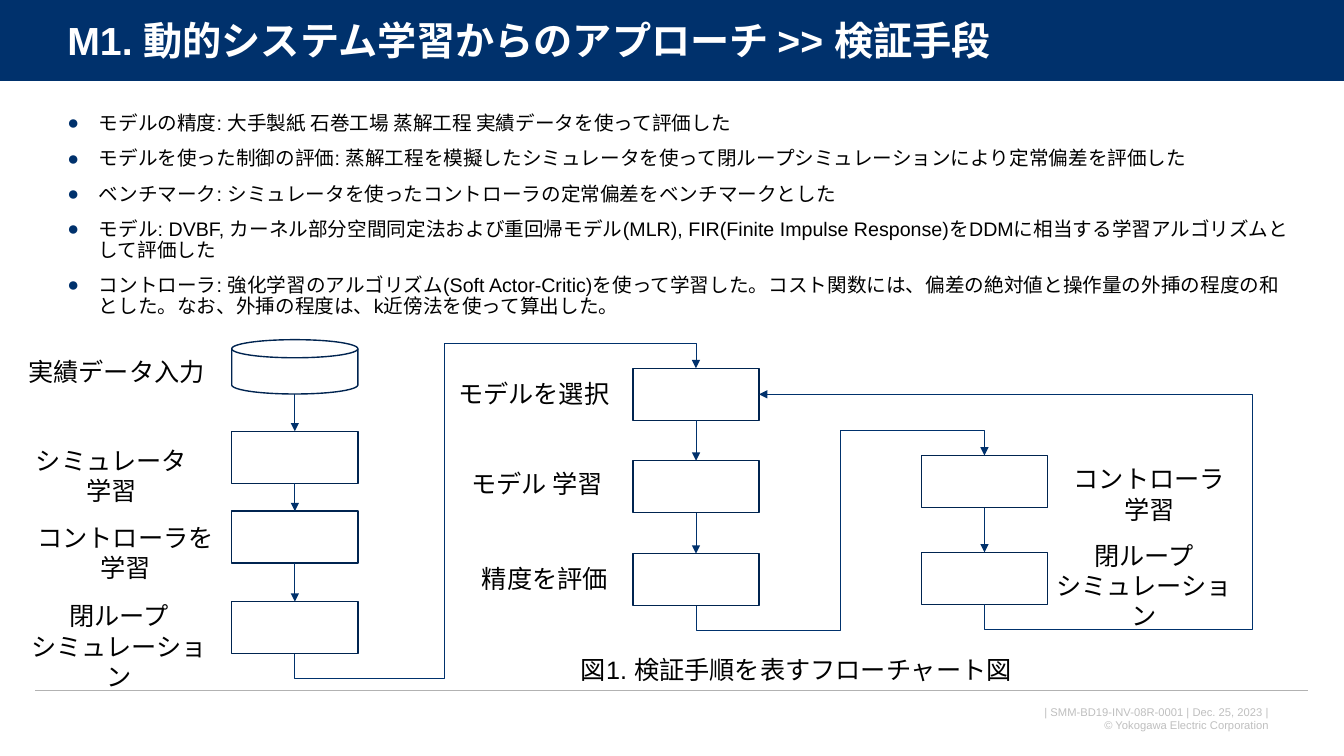
from lxml import etree
from pptx import Presentation
from pptx import util as u
from pptx.dml.color import RGBColor
from pptx.enum import shapes, text
from pptx.oxml import ns

NAVY, OUTLINE, WHITE, BLACK = "00316C", "002450", "FFFFFF", "000000"
RULE_GREY, FOOTER_GREY = "B2B2B2", "BFBFBF"

TITLE = "M1. 動的システム学習からのアプローチ >> 検証手段"
BULLETS = [
    "モデルの精度: 大手製紙 石巻工場 蒸解工程 実績データを使って評価した",
    "モデルを使った制御の評価: 蒸解工程を模擬したシミュレータを使って閉ループシミュレーションにより定常偏差を評価した",
    "ベンチマーク: シミュレータを使ったコントローラの定常偏差をベンチマークとした",
    "モデル: DVBF, カーネル部分空間同定法および重回帰モデル(MLR), FIR(Finite Impulse Response)を"
    "DDMに相当する学習アルゴリズムとして評価した",
    "コントローラ: 強化学習のアルゴリズム(Soft Actor-Critic)を使って学習した。コスト関数には、"
    "偏差の絶対値と操作量の外挿の程度の和とした。なお、外挿の程度は、k近傍法を使って算出した。",
]
FOOTER = ["| SMM-BD19-INV-08R-0001 | Dec. 25, 2023 |", "© Yokogawa Electric Corporation"]

BOX_WIDTH, BOX_HEIGHT, DISK_HEIGHT = 3.18, 1.31, 1.37
DISK = (5.84, 8.56)
COLUMNS = {
    "simulator": (5.84, [10.87, 12.88, 15.16]),
    "model": (15.95, [9.28, 11.61, 13.95]),
    "controller": (23.22, [11.48, 13.92]),
}
DETOUR = 0.63
LOOPS = [
    ("simulator", "model", 0, 11.2),
    ("model", "controller", 0, 21.18),
    ("controller", "model", 3, 31.55),
]
LABELS = [
    (0.41, 8.86, 5.05, ["実績データ入力"]),
    (0.28, 11.1, 5.05, ["シミュレータ 学習"]),
    (0.64, 13.03, 5.05, ["コントローラを学習"]),
    (0.48, 15.01, 5.05, ["閉ループ", "シミュレーション"]),
    (11.2, 9.42, 4.5, ["モデルを選択"]),
    (11.28, 11.68, 4.5, ["モデル 学習"]),
    (11.48, 14.07, 4.5, ["精度を評価"]),
    (26.44, 11.56, 5.05, ["コントローラ 学習"]),
    (26.31, 13.49, 5.05, ["閉ループ", "シミュレーション"]),
    (14.05, 16.36, 12.04, ["図1. 検証手順を表すフローチャート図"]),
]

presentation = Presentation()
presentation.slide_width, presentation.slide_height = u.Cm(33.87), u.Cm(19.05)
slide = presentation.slides.add_slide(presentation.slide_layouts[6])


def color(value):
    return RGBColor.from_string(value)


def add_element(parent, tag, **attributes):
    return etree.SubElement(parent, ns.qn(tag), attributes)


def add_text(left, top, width, height, lines, size, ink=BLACK, align=text.PP_ALIGN.LEFT):
    box = slide.shapes.add_textbox(*map(u.Cm, (left, top, width, height)))
    frame = box.text_frame
    frame.word_wrap = True
    frame.text = "\n".join(lines)
    for paragraph in frame.paragraphs:
        paragraph.alignment = align
        for run in paragraph.runs:
            run.font.size, run.font.name = u.Pt(size), "Arial"
            run.font.color.rgb = color(ink)
    return frame


def add_shape(kind, left, top, width, height, fill, line=None):
    shape = slide.shapes.add_shape(kind, *map(u.Cm, (left, top, width, height)))
    shape.shadow.inherit = False
    shape.fill.solid()
    shape.fill.fore_color.rgb = color(fill)
    if line:
        shape.line.color.rgb, shape.line.width = color(line), u.Pt(1)
    else:
        shape.line.fill.background()
    return shape


def add_line(start, end, ink, width, kind=shapes.MSO_CONNECTOR.STRAIGHT, arrow=False):
    connector = slide.shapes.add_connector(kind, *map(u.Cm, (*start, *end)))
    connector.line.color.rgb, connector.line.width = color(ink), u.Pt(width)
    if arrow:
        add_element(connector.line._get_or_add_ln(), "a:tailEnd", type="triangle")
    add_element(connector._element.spPr, "a:effectLst")
    return connector


def add_loop(source, target, side, lane):
    start = (source.left + source.width // 2, source.top + source.height)
    if side == 0:
        end = (target.left + target.width // 2, target.top)
    else:
        end = (target.left + target.width, target.top + target.height // 2)
    across, rise = end[0] - start[0], start[1] - end[1]
    connector = add_line((0, 0), (1, 1), NAVY, 0.5, shapes.MSO_CONNECTOR.ELBOW, True)
    connector.begin_connect(source, 2)
    connector.end_connect(target, side)
    connector.width, connector.height = rise, abs(across)
    connector.left = (start[0] + end[0] - rise) // 2
    connector.top = (start[1] + end[1] - abs(across)) // 2

    transform = connector._element.spPr.find(ns.qn("a:xfrm"))
    transform.set("rot", "5400000")
    transform.set("flipH", "1")
    transform.set("flipV", "1" if across > 0 else "0")
    bend = u.Cm(DETOUR) / rise
    adjustments = [-bend, (u.Cm(lane) - start[0]) / across]
    if side == 0:
        adjustments.append(1 + bend)
    geometry = connector._element.spPr.find(ns.qn("a:prstGeom"))
    geometry.set("prst", f"bentConnector{len(adjustments) + 2}")
    for child in list(geometry):
        geometry.remove(child)
    guides = add_element(geometry, "a:avLst")
    for number, value in enumerate(adjustments, 1):
        add_element(guides, "a:gd", name=f"adj{number}", fmla=f"val {round(value * 100000)}")


add_text(24.08, 17.65, 8.15, 0.94, FOOTER, 8, FOOTER_GREY, text.PP_ALIGN.RIGHT)
add_shape(shapes.MSO_SHAPE.RECTANGLE, 0, 0, 33.87, 2.06, NAVY)
add_line((0, 2.06), (33.87, 2.06), WHITE, 0.75)
add_line((0.89, 17.4), (32.97, 17.4), RULE_GREY, 1)

title = add_text(1.45, 0.36, 31.67, 1.45, [TITLE], 28, WHITE)
title.vertical_anchor = text.MSO_ANCHOR.MIDDLE
title.paragraphs[0].line_spacing = 0.9
title.paragraphs[0].runs[0].font.bold = True

body = add_text(1.45, 2.74, 31.5, 5.33, BULLETS, 14)
for position, paragraph in enumerate(body.paragraphs):
    paragraph.line_spacing = 0.9
    paragraph.space_before = u.Pt(10 if position else 0)
    properties = paragraph._p.get_or_add_pPr()
    properties.set("marL", str(u.Cm(0.79)))
    properties.set("indent", str(-u.Cm(0.79)))
    add_element(add_element(properties, "a:buClr"), "a:srgbClr", val=NAVY)
    add_element(properties, "a:buFont", typeface="Arial")
    add_element(properties, "a:buChar", char="●")

add_shape(shapes.MSO_SHAPE.FLOWCHART_MAGNETIC_DISK, *DISK, BOX_WIDTH, DISK_HEIGHT, WHITE, OUTLINE)
steps = {
    name: [
        add_shape(shapes.MSO_SHAPE.FLOWCHART_PROCESS, left, top, BOX_WIDTH, BOX_HEIGHT, WHITE, OUTLINE)
        for top in tops
    ]
    for name, (left, tops) in COLUMNS.items()
}

disk_bottom = (DISK[0] + BOX_WIDTH / 2, DISK[1] + DISK_HEIGHT)
first_top = (disk_bottom[0], COLUMNS["simulator"][1][0])
add_line(disk_bottom, first_top, NAVY, 0.5, arrow=True).end_connect(steps["simulator"][0], 0)
for boxes in steps.values():
    for upper, lower in zip(boxes, boxes[1:]):
        arrow = add_line((0, 0), (1, 1), NAVY, 0.5, arrow=True)
        arrow.begin_connect(upper, 2)
        arrow.end_connect(lower, 0)
for source, target, side, lane in LOOPS:
    add_loop(steps[source][-1], steps[target][0], side, lane)

for left, top, width, lines in LABELS:
    add_text(left, top, width, 1.03 * len(lines), lines, 18, align=text.PP_ALIGN.CENTER)

presentation.save("out.pptx")
